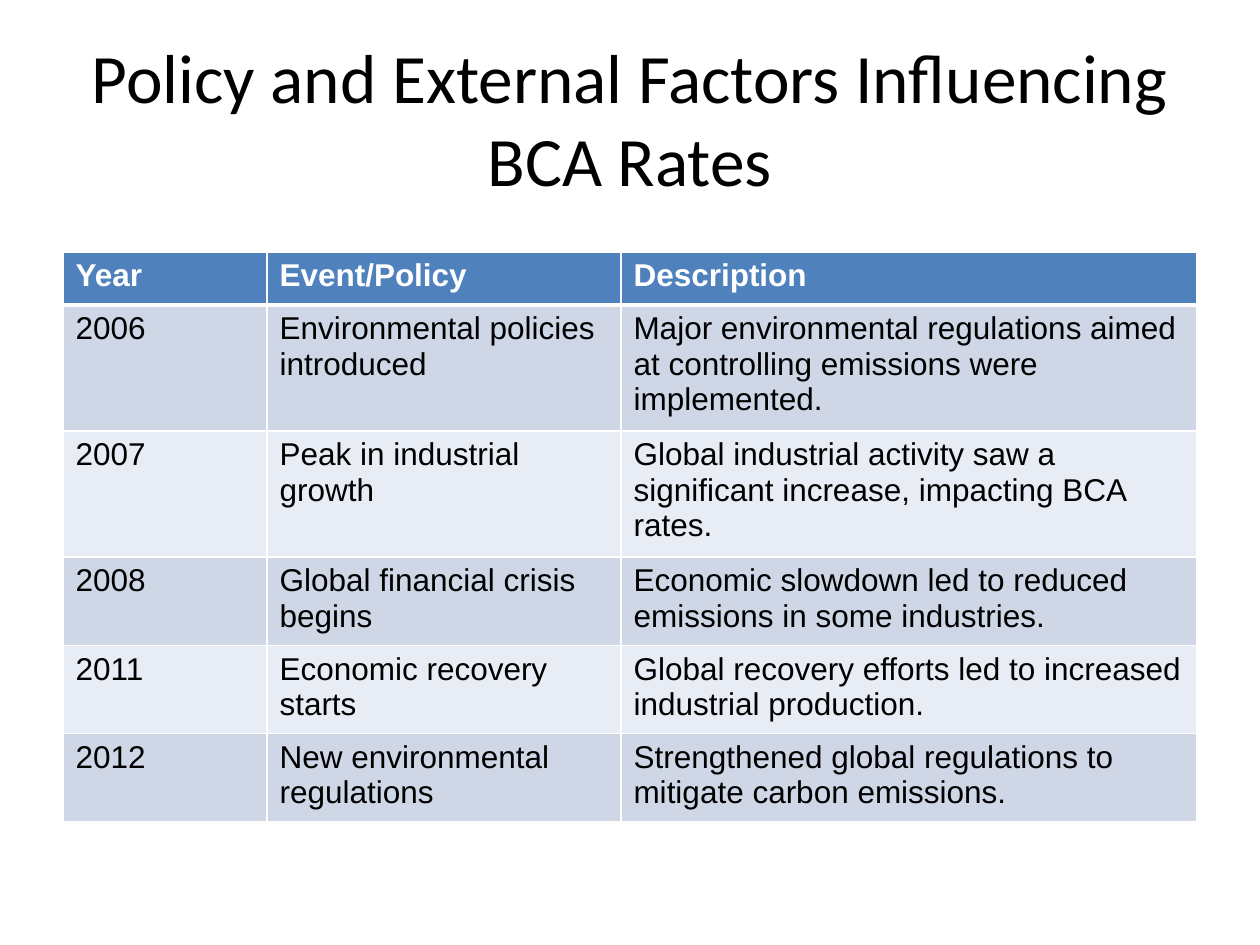
from typing import NamedTuple

from lxml import etree
from pptx import Presentation
from pptx.dml.color import RGBColor
from pptx.enum.text import MSO_ANCHOR, PP_ALIGN
from pptx.oxml.ns import qn
from pptx.util import Emu, Pt

MIDDLE = MSO_ANCHOR.MIDDLE
CENTER = PP_ALIGN.CENTER
EMU_PER_PX = 914400 / 126
EMU_PER_PT = 12700

WHITE = "FFFFFF"
BLACK = "000000"
HEADER_FILL = "4F81BD"
BAND_FILLS = ("CFD7E7", "E8ECF4")
COLUMN_WIDTHS = (204, 354, 576)
ROW_HEIGHT = 53


class PolicyEvent(NamedTuple):
    year: str
    event: str
    description: str


class CellStyle(NamedTuple):
    fill: str
    color: str
    bold: bool
    bottom_pt: int


HEADER = PolicyEvent("Year", "Event/Policy", "Description")
EVENTS = [
    PolicyEvent("2006", "Environmental policies introduced",
                "Major environmental regulations aimed at controlling emissions were implemented."),
    PolicyEvent("2007", "Peak in industrial growth",
                "Global industrial activity saw a significant increase, impacting BCA rates."),
    PolicyEvent("2008", "Global financial crisis begins",
                "Economic slowdown led to reduced emissions in some industries."),
    PolicyEvent("2011", "Economic recovery starts",
                "Global recovery efforts led to increased industrial production."),
    PolicyEvent("2012", "New environmental regulations",
                "Strengthened global regulations to mitigate carbon emissions."),
]


def px(n: int) -> Emu:
    return Emu(round(n * EMU_PER_PX))


def rgb(color: str) -> RGBColor:
    return RGBColor.from_string(color)


def add_run(p, text: str, font: str, size: float, color: str, bold: bool = False) -> None:
    r = p.add_run()
    r.text = text
    r.font.name = font
    r.font.size = Pt(size)
    r.font.bold = bold
    r.font.color.rgb = rgb(color)


def add_border(cell, side: str, width_pt: int) -> None:
    tc_pr = cell._tc.get_or_add_tcPr()
    ln = etree.SubElement(tc_pr, qn(f"a:ln{side}"), w=str(width_pt * EMU_PER_PT))
    fill = etree.SubElement(ln, qn("a:solidFill"))
    etree.SubElement(fill, qn("a:srgbClr"), val=WHITE)


def fill_cell(cell, text: str, style: CellStyle, top_pt: int) -> None:
    for side, width in (("L", 1), ("R", 1), ("T", top_pt), ("B", style.bottom_pt)):
        add_border(cell, side, width)
    cell.fill.solid()
    cell.fill.fore_color.rgb = rgb(style.fill)
    add_run(cell.text_frame.paragraphs[0], text, "Arial", 18, style.color, style.bold)


def add_title(s, text: str) -> None:
    tf = s.shapes.add_textbox(px(63), px(38), px(1134), px(158)).text_frame
    tf.word_wrap = True
    tf.vertical_anchor = MIDDLE
    p = tf.paragraphs[0]
    p.alignment = CENTER
    add_run(p, text, "Calibri", 39.6, BLACK)


def add_event_table(s, header: PolicyEvent, events: list[PolicyEvent]) -> None:
    styles = [CellStyle(HEADER_FILL, WHITE, True, 3)]
    styles += [CellStyle(BAND_FILLS[i % 2], BLACK, False, 1) for i in range(len(events))]
    rows = [header, *events]
    table = s.shapes.add_table(len(rows), len(header), px(63), px(252),
                               px(sum(COLUMN_WIDTHS)), px(ROW_HEIGHT * len(rows))).table
    for column, width in zip(table.columns, COLUMN_WIDTHS):
        column.width = px(width)
    top_pt = 1
    for i, (row, style) in enumerate(zip(rows, styles)):
        table.rows[i].height = px(ROW_HEIGHT)
        for j, text in enumerate(row):
            fill_cell(table.cell(i, j), text, style, top_pt)
        top_pt = style.bottom_pt


def main() -> None:
    prs = Presentation()
    prs.slide_width, prs.slide_height = px(1260), px(945)
    s = prs.slides.add_slide(prs.slide_layouts[6])
    add_title(s, "Policy and External Factors Influencing BCA Rates")
    add_event_table(s, HEADER, EVENTS)
    prs.save("out.pptx")


if __name__ == "__main__":
    main()
